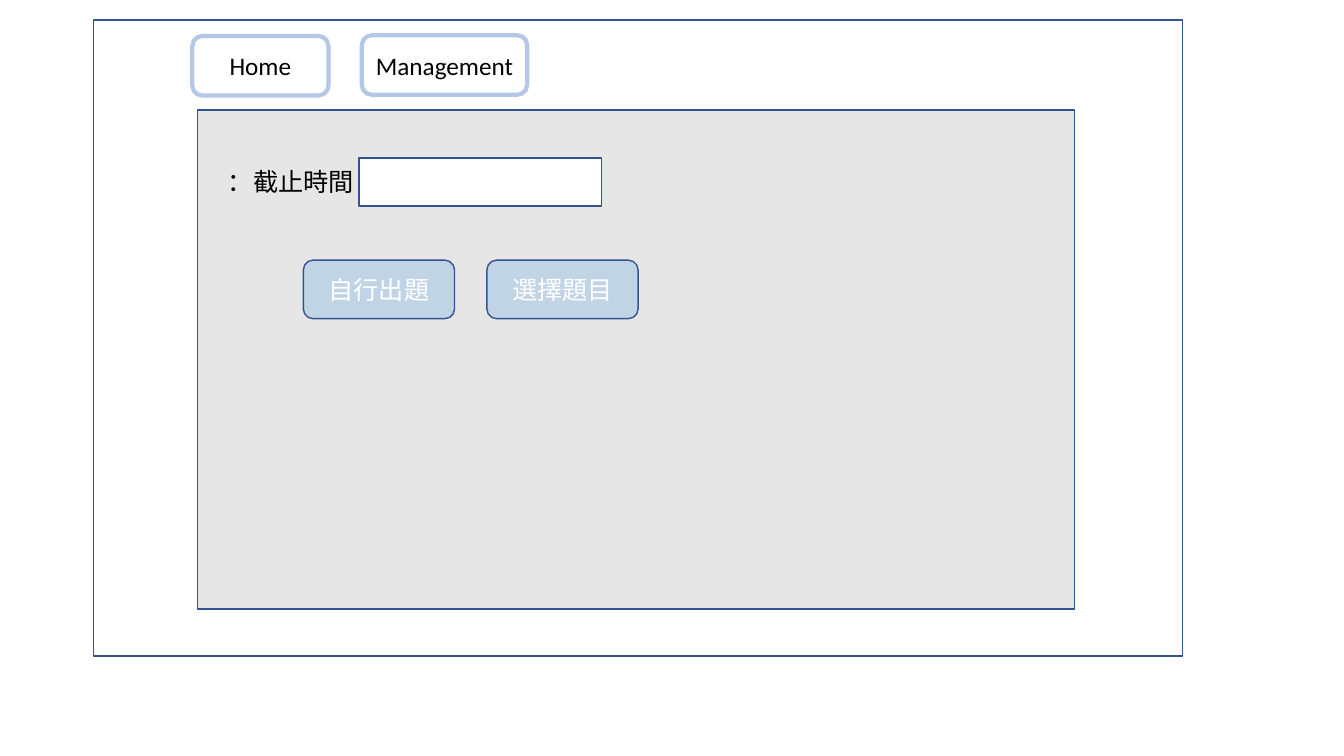
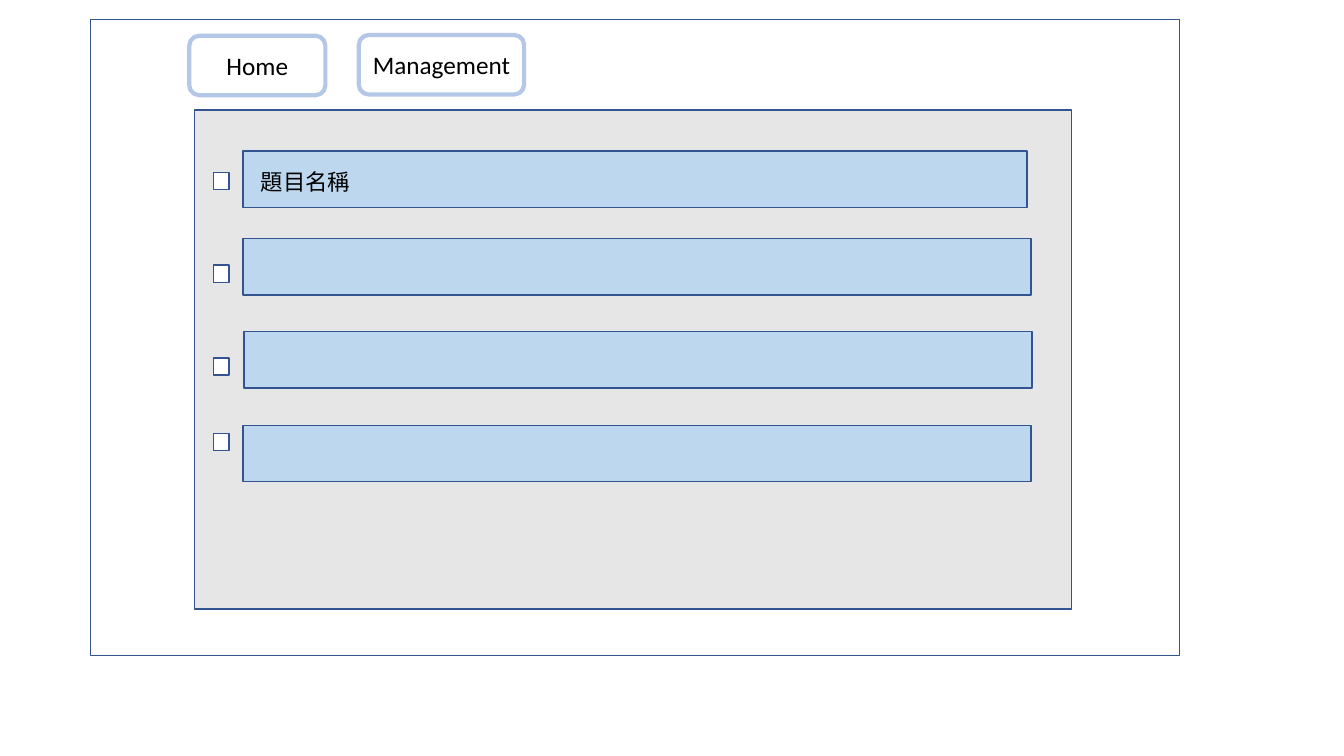
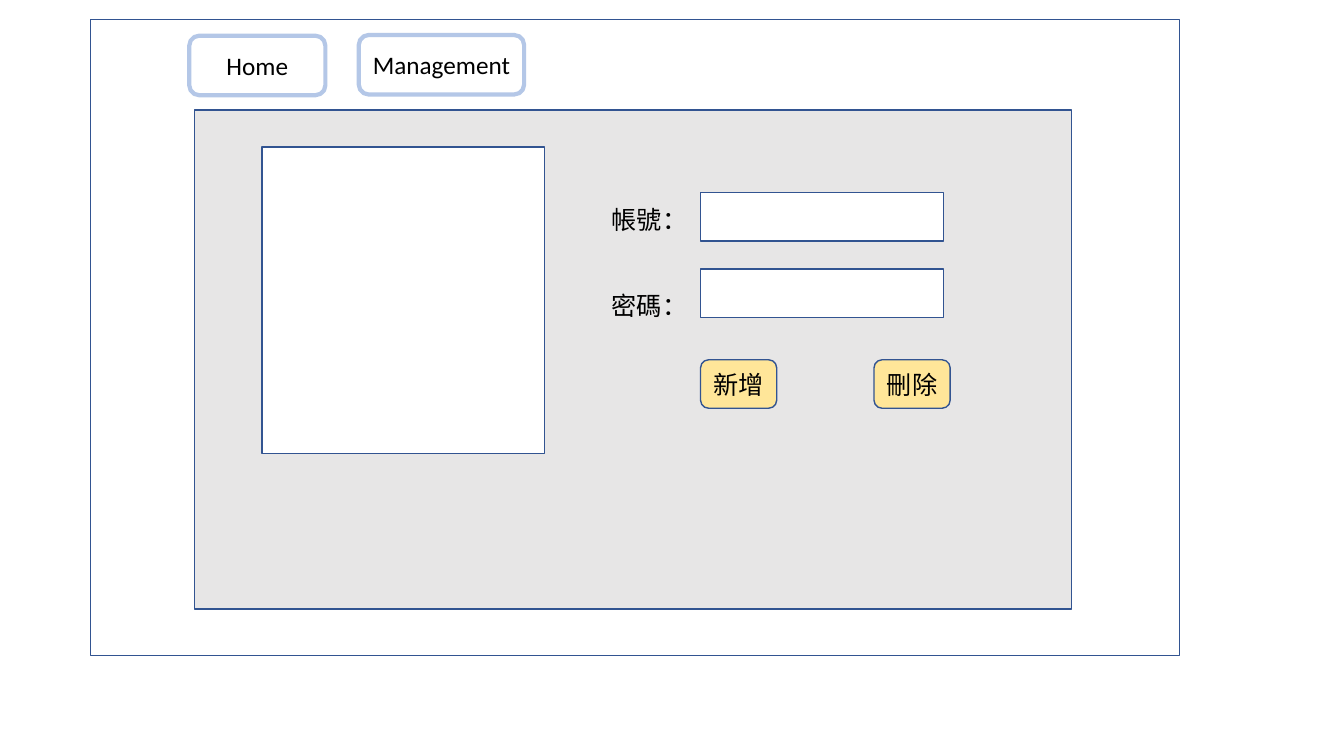
"""Build three wireframe slides of a quiz management site."""
from dataclasses import dataclass
from typing import Optional

import pptx
import pptx.dml.color
import pptx.enum.shapes
import pptx.enum.text
import pptx.oxml.ns
import pptx.oxml.xmlchemy
import pptx.presentation
import pptx.shapes.shapetree
import pptx.slide
import pptx.text.text
import pptx.util

Pt = pptx.util.Pt
Color = pptx.dml.color.RGBColor
Kind = pptx.enum.shapes.MSO_SHAPE
Align = pptx.enum.text.PP_ALIGN
qn = pptx.oxml.ns.qn

WHITE = Color(0xFF, 0xFF, 0xFF)
BLACK = Color(0x00, 0x00, 0x00)
GRAY = Color(0xE7, 0xE6, 0xE6)
NAVY = Color(0x32, 0x54, 0x91)
PALE = Color(0xB4, 0xC7, 0xE7)
SKY = Color(0xBD, 0xD7, 0xEE)
BLUE = Color(0x9D, 0xC3, 0xE6)
GOLD = Color(0xFF, 0xE6, 0x99)
FONT = "Calibri"


@dataclass(frozen=True)
class Box:
    left: float
    top: float
    width: float
    height: float
    fill: Optional[Color] = WHITE
    text: str = ""
    ink: Color = BLACK
    kind: Kind = Kind.RECTANGLE
    edge: Color = NAVY
    line: float = 1
    alpha: int = 100


@dataclass(frozen=True)
class Label:
    left: float
    top: float
    width: float
    height: float
    text: str
    size: float = 18
    rtl: bool = False


def write(
    frame: pptx.text.text.TextFrame, text: str, align: Align, size: float, ink: Color
) -> None:
    frame.word_wrap = True
    frame.text = text
    para = frame.paragraphs[0]
    para.alignment = align
    font = para.runs[0].font
    font.name = FONT
    font.size = Pt(size)
    font.color.rgb = ink


def draw(shapes: pptx.shapes.shapetree.GroupShapes, box: Box) -> None:
    shape = shapes.add_shape(
        box.kind, Pt(box.left), Pt(box.top), Pt(box.width), Pt(box.height)
    )
    shape.shadow.inherit = False
    shape.line.color.rgb = box.edge
    shape.line.width = Pt(box.line)
    if box.fill is None:
        shape.fill.background()
    else:
        shape.fill.solid()
        shape.fill.fore_color.rgb = box.fill
    if box.alpha < 100:
        color = shape.element.spPr.find(qn("a:solidFill")).find(qn("a:srgbClr"))
        alpha = pptx.oxml.xmlchemy.OxmlElement("a:alpha")
        alpha.set("val", str(box.alpha * 1000))
        color.append(alpha)
    if box.text:
        write(shape.text_frame, box.text, Align.CENTER, 18, box.ink)


def print_label(shapes: pptx.shapes.shapetree.GroupShapes, label: Label) -> None:
    shape = shapes.add_textbox(
        Pt(label.left), Pt(label.top), Pt(label.width), Pt(label.height)
    )
    align = Align.RIGHT if label.rtl else Align.LEFT
    write(shape.text_frame, label.text, align, label.size, BLACK)
    if label.rtl:
        shape.text_frame.paragraphs[0]._p.get_or_add_pPr().set("rtl", "1")


def add_page(deck: pptx.presentation.Presentation, left: float, top: float) -> pptx.slide.Slide:
    slide = deck.slides.add_slide(deck.slide_layouts[6])
    group = slide.shapes.add_group_shape().shapes
    nav = dict(fill=None, kind=Kind.ROUNDED_RECTANGLE, edge=PALE, line=3)
    for box in (
        Box(left, top, 777.6, 454.3),
        Box(left + 74.2, top + 64.5, 626.4, 356.4, GRAY),
        Box(left + 70.4, top + 11.5, 97.2, 42.5, text="Home", **nav),
        Box(left + 191.5, top + 11, 118.1, 42.5, text="Management", **nav),
    ):
        draw(group, box)
    return slide


def add_task(deck: pptx.presentation.Presentation) -> None:
    shapes = add_page(deck, 67, 14.2).shapes
    draw(shapes, Box(256.3, 113, 173.5, 34.2))
    print_label(shapes, Label(151.9, 115.2, 108, 51.1, "截止時間：", rtl=True))
    for left, text in ((347.8, "選擇題目"), (216.7, "自行出題")):
        draw(
            shapes,
            Box(left, 185.8, 108, 41.8, BLUE, text, WHITE, Kind.ROUNDED_RECTANGLE, alpha=50),
        )


def add_list(deck: pptx.presentation.Presentation) -> None:
    shapes = add_page(deck, 64.8, 14).shapes
    rows = (
        (173.5, 108, 560.2, 123.1),
        (173.5, 170.6, 563, 189.4),
        (174.2, 236.9, 563, 255.6),
        (173.5, 303.8, 563, 309.6),
    )
    for left, top, width, tick in rows:
        draw(shapes, Box(left, top, width, 40.3, SKY))
        draw(shapes, Box(152.3, tick, 11.2, 12.4))
    print_label(shapes, Label(179.3, 116.6, 95, 26.6, "題目名稱", 16))


def add_form(deck: pptx.presentation.Presentation) -> None:
    shapes = add_page(deck, 64.8, 14).shapes
    draw(shapes, Box(187.2, 105.1, 201.6, 218.9))
    group = shapes.add_group_shape().shapes
    for top, mark, text in ((137.5, 142.6, "帳號："), (192.2, 203.8, "密碼：")):
        draw(group, Box(500.4, top, 173.5, 34.6, kind=Kind.FLOWCHART_PROCESS))
        print_label(group, Label(429.8, mark, 70, 28.8, text))
    for left, text in ((500.4, "新增"), (624.3, "刪除")):
        draw(group, Box(left, 257, 54.4, 34.6, GOLD, text, kind=Kind.ROUNDED_RECTANGLE))


def main() -> None:
    deck = pptx.Presentation()
    deck.slide_width = Pt(960)
    deck.slide_height = Pt(540)
    add_task(deck)
    add_list(deck)
    add_form(deck)
    deck.save("out.pptx")


if __name__ == "__main__":
    main()
